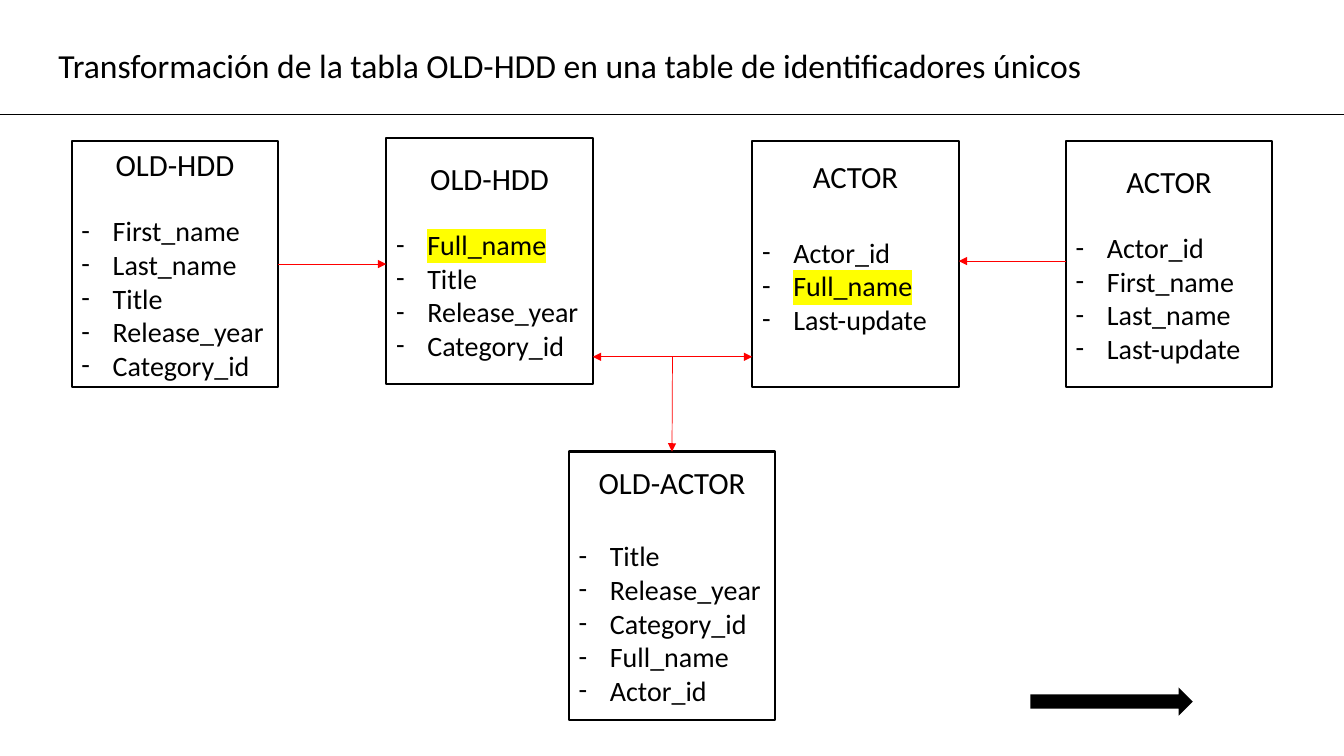
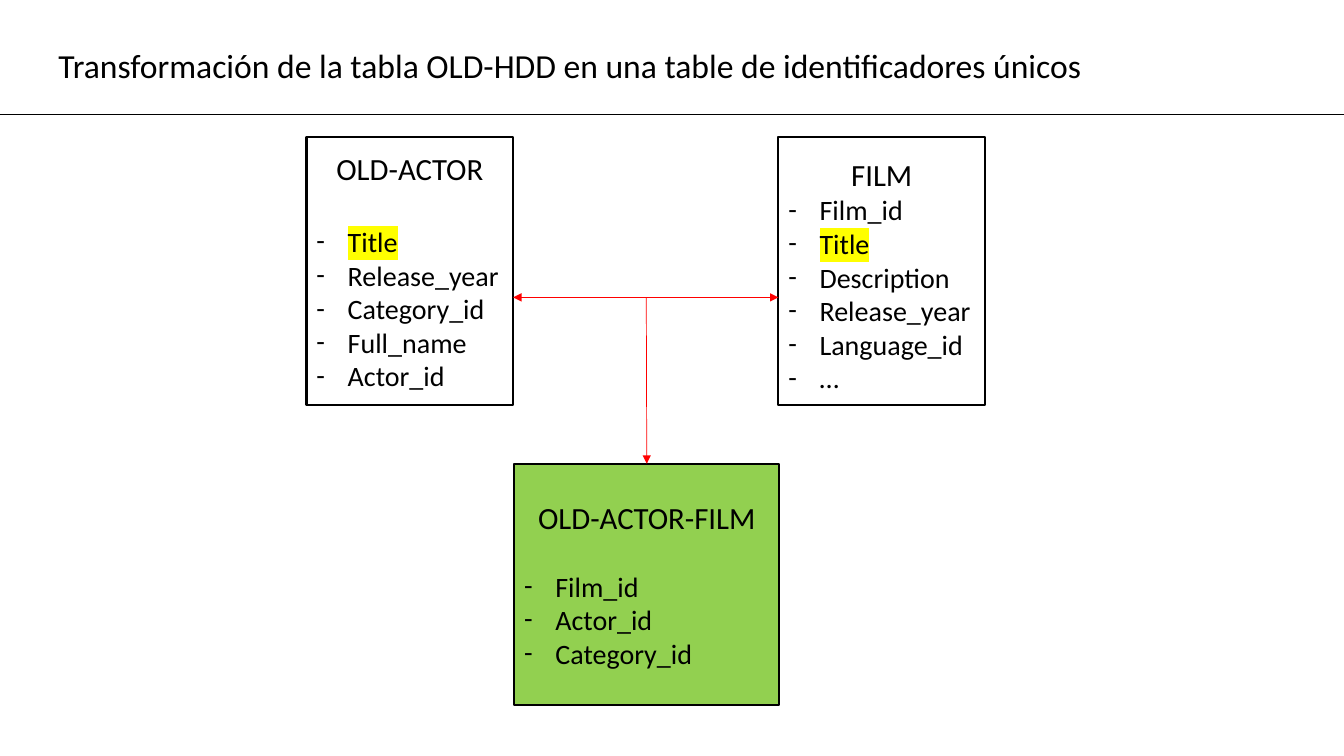
from lxml.etree import SubElement
from pptx import Presentation
from pptx.dml.color import RGBColor
from pptx.enum.shapes import MSO_CONNECTOR, MSO_SHAPE
from pptx.enum.text import MSO_ANCHOR, MSO_AUTO_SIZE, PP_ALIGN
from pptx.oxml.ns import qn
from pptx.util import Inches, Pt

COLORS = {"ink": "000000", "paper": "FFFFFF", "link": "FF0000",
          "mark": "FFFF00", "result": "92D050"}
FONT = "Calibri"
WIDE, HIGH = 13.33, 7.5
BOX = 2.05                      # width of a table box
TOP, LEFT, RIGHT = 0, 1, 3      # connection sites
TITLE = "Transformación de la tabla OLD-HDD en una table de identificadores únicos"

# Boxes: name, place, fill, gap under the name (pt),
# extra inset at top and bottom, fields, marked field
# Links: start, end, heads, joined start and end as (box, site)
SLIDES = [
    {
        "boxes": [
            ("OLD-HDD", (0.71, 1.4, BOX, 2.44), "paper", 22, (0, 0),
             ["First_name", "Last_name", "Title", "Release_year", "Category_id"], None),
            ("OLD-HDD", (3.83, 1.37, BOX, 2.44), "paper", 22, (0, 0),
             ["Full_name", "Title", "Release_year", "Category_id"], "Full_name"),
            ("ACTOR", (7.46, 1.4, BOX, 2.44), "paper", 29, (0, 0.34),
             ["Actor_id", "Full_name", "Last-update"], "Full_name"),
            ("ACTOR", (10.57, 1.4, BOX, 2.44), "paper", 22, (0, 0),
             ["Actor_id", "First_name", "Last_name", "Last-update"], None),
            ("OLD-ACTOR", (5.64, 4.48, BOX, 2.66), "paper", 27, (0, 0),
             ["Title", "Release_year", "Category_id", "Full_name", "Actor_id"], None),
        ],
        "links": [
            ((2.76, 2.62), (3.83, 2.62), ["tail"], (0, RIGHT), None),
            ((10.57, 2.59), (9.51, 2.59), ["tail"], None, None),
            ((6.67, 3.54), (6.67, 4.48), ["tail"], None, (4, TOP)),
            ((5.88, 3.54), (7.46, 3.54), ["head", "tail"], None, None),
        ],
        "next": (10.22, 6.82, 1.61, 0.28),
    },
    {
        "boxes": [
            ("OLD-ACTOR", (3.04, 1.36, BOX, 2.66), "paper", 27, (0, 0),
             ["Title", "Release_year", "Category_id", "Full_name", "Actor_id"], "Title"),
            ("FILM", (7.72, 1.36, BOX, 2.66), "paper", 0, (0.08, 0),
             ["Film_id", "Title", "Description", "Release_year", "Language_id", "…"],
             "Title"),
            ("OLD-ACTOR-FILM", (5.1, 4.6, 2.63, 2.39), "result", 24, (0, 0),
             ["Film_id", "Actor_id", "Category_id"], None),
        ],
        "links": [
            ((6.41, 2.95), (6.41, 4.6), ["tail"], None, (2, TOP)),
            ((5.09, 2.95), (7.72, 2.95), ["head", "tail"], None, None),
        ],
        "next": None,
    },
]


def color(name):
    return RGBColor.from_string(COLORS[name])


def style(para, size):
    para.font.name = FONT
    para.font.size = Pt(size)
    para.font.color.rgb = color("ink")


def add_line(slide, start, end, ink, heads=()):
    line = slide.shapes.add_connector(
        MSO_CONNECTOR.STRAIGHT, *(Inches(v) for v in (*start, *end)))
    line.line.color.rgb = color(ink)
    line.line.width = Pt(0.5)
    edge = line.line._get_or_add_ln()
    for head in heads:
        SubElement(edge, qn(f"a:{head}End"), type="triangle")
    SubElement(line._element.spPr, qn("a:effectLst"))
    return line


def add_solid(slide, kind, place, fill):
    shape = slide.shapes.add_shape(kind, *map(Inches, place))
    shape.shadow.inherit = False
    shape.fill.solid()
    shape.fill.fore_color.rgb = color(fill)
    return shape


def add_field(frame, text, marked):
    para = frame.add_paragraph()
    para.alignment = PP_ALIGN.LEFT
    props = para._p.get_or_add_pPr()
    props.set("marL", str(Inches(0.31)))
    props.set("indent", str(-Inches(0.31)))
    SubElement(props, qn("a:buFont"), typeface=FONT)
    SubElement(props, qn("a:buChar"), char="-")
    style(para, 20)
    run = para.add_run()
    run.text = text
    if marked:
        glow = SubElement(run._r.get_or_add_rPr(), qn("a:highlight"))
        SubElement(glow, qn("a:srgbClr"), val=COLORS["mark"])


def add_box(slide, name, place, fill, gap, inset, fields, mark):
    box = add_solid(slide, MSO_SHAPE.RECTANGLE, place, fill)
    box.line.color.rgb = color("ink")
    box.line.width = Pt(1.5)
    frame = box.text_frame
    frame.word_wrap = True
    frame.vertical_anchor = MSO_ANCHOR.MIDDLE
    frame.margin_top, frame.margin_bottom = (Inches(0.05 + v) for v in inset)
    head = frame.paragraphs[0]
    head.text = name
    head.alignment = PP_ALIGN.CENTER
    head.space_after = Pt(gap)
    style(head, 22)
    for field in fields:
        add_field(frame, field, field == mark)
    return box


def add_base(deck):
    """Start a slide with the shared title and rule."""
    slide = deck.slides.add_slide(deck.slide_layouts[5])
    title = slide.shapes.title
    title.left, title.top, title.width, title.height = map(
        Inches, (0.48, 0.4, 10.82, 0.5))
    frame = title.text_frame
    frame.text = TITLE
    frame.word_wrap = True
    frame.auto_size = MSO_AUTO_SIZE.NONE
    frame.vertical_anchor = MSO_ANCHOR.MIDDLE
    frame.paragraphs[0].alignment = PP_ALIGN.LEFT
    style(frame.paragraphs[0], 24)
    add_line(slide, (0, 1.13), (WIDE, 1.13), "ink")
    return slide


def main():
    deck = Presentation()
    deck.slide_width, deck.slide_height = Inches(WIDE), Inches(HIGH)
    for page in SLIDES:
        slide = add_base(deck)
        boxes = [add_box(slide, *box) for box in page["boxes"]]
        for start, end, heads, source, target in page["links"]:
            line = add_line(slide, start, end, "link", heads)
            if source:
                line.begin_connect(boxes[source[0]], source[1])
            if target:
                line.end_connect(boxes[target[0]], target[1])
        if page["next"]:
            arrow = add_solid(slide, MSO_SHAPE.RIGHT_ARROW, page["next"], "ink")
            arrow.line.fill.background()
    deck.save("out.pptx")


if __name__ == "__main__":
    main()
